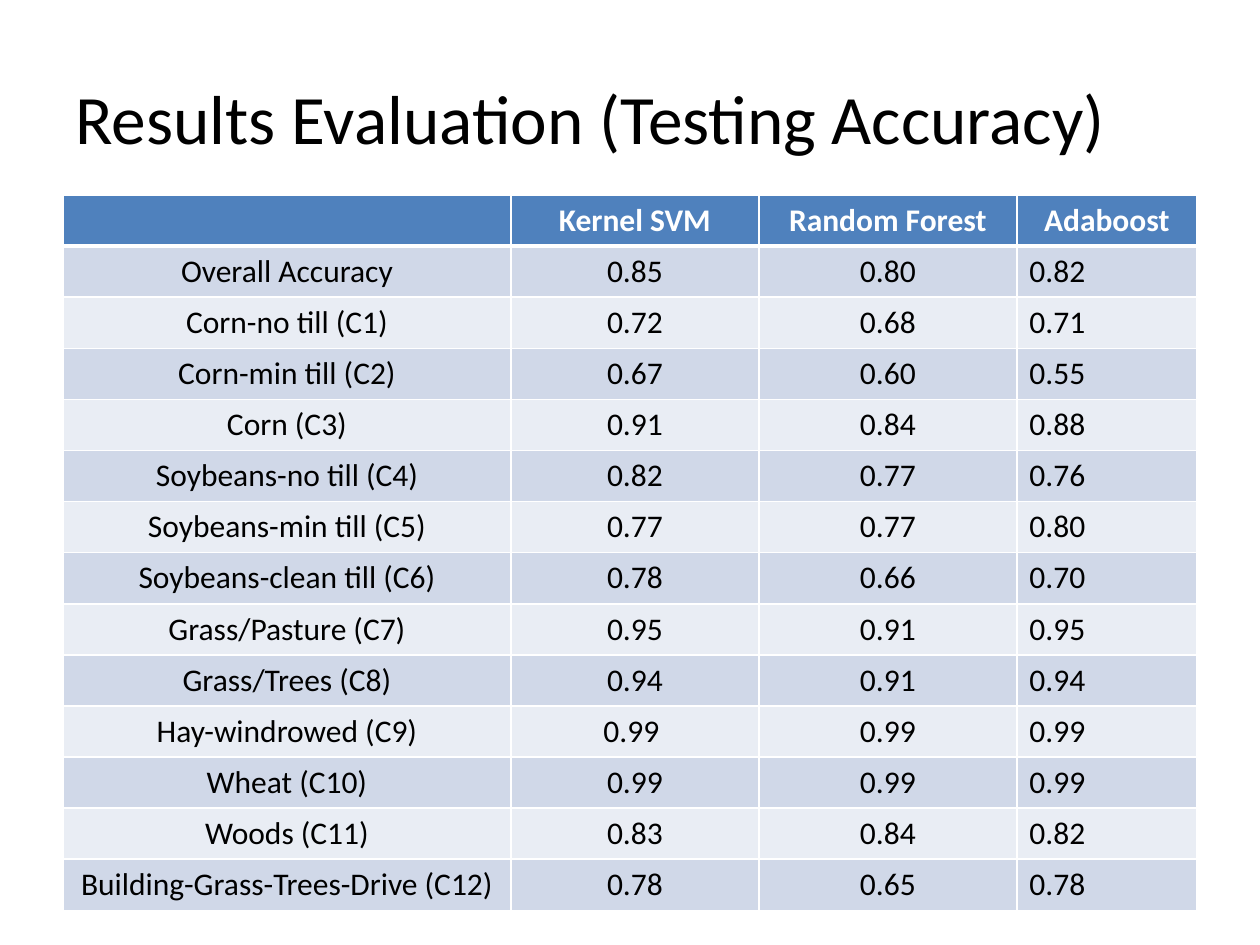
from lxml import etree
from pptx import Presentation
from pptx.dml.color import RGBColor
from pptx.enum.text import MSO_ANCHOR, PP_ALIGN
from pptx.oxml.ns import qn
from pptx.util import Emu, Pt

PX = 914400 // 126  # EMU per pixel
FONT = "Calibri"
COLUMNS = [448, 248, 258, 180]
HEADER = ["", "Kernel SVM", "Random Forest", "Adaboost"]
RESULTS = [
    ("Overall Accuracy", "0.85", "0.80", "0.82"),
    ("Corn-no till (C1)", "0.72", "0.68", "0.71"),
    ("Corn-min till (C2)", "0.67", "0.60", "0.55"),
    ("Corn (C3)", "0.91", "0.84", "0.88"),
    ("Soybeans-no till (C4)", "0.82", "0.77", "0.76"),
    ("Soybeans-min till (C5)", "0.77", "0.77", "0.80"),
    ("Soybeans-clean till (C6)", "0.78", "0.66", "0.70"),
    ("Grass/Pasture (C7)", "0.95", "0.91", "0.95"),
    ("Grass/Trees (C8)", "0.94", "0.91", "0.94"),
    ("Hay-windrowed (C9)", "0.99 ", "0.99", "0.99"),
    ("Wheat (C10)", "0.99", "0.99", "0.99"),
    ("Woods (C11)", "0.83", "0.84", "0.82"),
    ("Building-Grass-Trees-Drive (C12)", "0.78", "0.65", "0.78"),
]


def px(n):
    return Emu(n * PX)


def color(value):
    return RGBColor.from_string(value)


def write(paragraph, text, size, ink, bold, align):
    paragraph.alignment = align
    run = paragraph.add_run()
    run.text = text
    font = run.font
    font.name, font.size, font.bold = FONT, Pt(size), bold
    font.color.rgb = color(ink)


def set_borders(cell, widths):
    """Draw white cell borders; widths are points for left, right, top, bottom."""
    props = cell._tc.get_or_add_tcPr()
    for i, (side, width) in enumerate(zip("LRTB", widths)):
        line = etree.Element(qn(f"a:ln{side}"), w=str(Pt(width)))
        fill = etree.SubElement(line, qn("a:solidFill"))
        etree.SubElement(fill, qn("a:srgbClr"), val="FFFFFF")
        props.insert(i, line)


def add_title(slide, x, y, w, h, text):
    title = slide.shapes.title
    title.left, title.top, title.width, title.height = map(px, (x, y, w, h))
    frame = title.text_frame
    frame.word_wrap = True
    frame.vertical_anchor = MSO_ANCHOR.MIDDLE
    write(frame.paragraphs[0], text, 39.6, "000000", False, PP_ALIGN.LEFT)


def add_results(slide, x, y, w, h):
    rows = [HEADER] + RESULTS
    table = slide.shapes.add_table(
        len(rows), len(COLUMNS), px(x), px(y), px(w), px(h)).table
    for column, width in zip(table.columns, COLUMNS):
        column.width = px(width * w // sum(COLUMNS))
    for r, values in enumerate(rows):
        table.rows[r].height = px(h // len(rows))
        header = r == 0
        fill = "4F81BD" if header else ("E9EDF4", "D0D8E8")[r % 2]
        for c, text in enumerate(values):
            cell = table.cell(r, c)
            cell.fill.solid()
            cell.fill.fore_color.rgb = color(fill)
            set_borders(cell, (1, 1, 3 if r == 1 else 1, 3 if header else 1))
            # The last column is centred only in the header
            centred = header or c < len(COLUMNS) - 1
            if text:
                write(cell.text_frame.paragraphs[0], text, 18,
                      "FFFFFF" if header else "000000", header,
                      PP_ALIGN.CENTER if centred else PP_ALIGN.LEFT)


prs = Presentation()
prs.slide_width, prs.slide_height = px(1260), px(945)
slide = prs.slides.add_slide(prs.slide_layouts[5])

# Title above the accuracy table
add_title(slide, 63, 38, 1134, 157, "Results Evaluation (Testing Accuracy)")
add_results(slide, 63, 195, 1134, 714)

prs.save("out.pptx")
